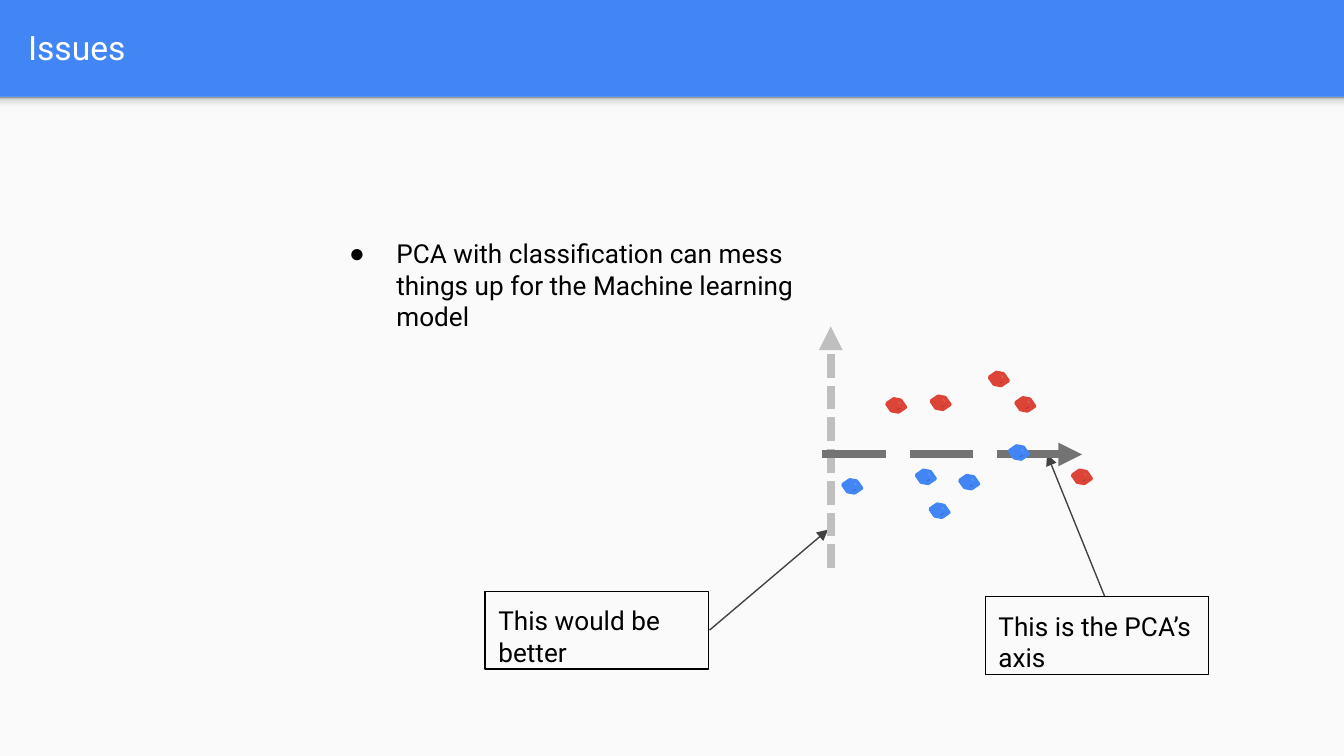
from pptx import Presentation
from pptx.dml.color import RGBColor
from pptx.enum.dml import MSO_LINE
from pptx.enum.shapes import MSO_CONNECTOR, MSO_SHAPE
from pptx.enum.text import MSO_ANCHOR, MSO_AUTO_SIZE, PP_ALIGN
from pptx.oxml import parse_xml
from pptx.oxml.ns import nsdecls
from pptx.util import Cm, Pt

RECT, CUBE = MSO_SHAPE.RECTANGLE, MSO_SHAPE.CUBE
STRAIGHT = MSO_CONNECTOR.STRAIGHT
SHORT, LONG = MSO_LINE.SQUARE_DOT, MSO_LINE.LONG_DASH
TOP, MIDDLE = MSO_ANCHOR.TOP, MSO_ANCHOR.MIDDLE
LEFT, FIXED = PP_ALIGN.LEFT, MSO_AUTO_SIZE.NONE

FONT = "Roboto"
INSET = Cm(0.25)
WIDTH, HEIGHT, HEAD = 25.4, 14.29, 1.83
COLORS = {
    "blue": "4285F4", "red": "DB4437", "pale": "FAFAFA", "white": "FFFFFF",
    "black": "000000", "dark": "424242", "gray": "737373", "light": "BFBFBF",
}
FADE = [(0, "F9F9F9"), (36, "F9F9F9"), (80, "DEDEDE"), (100, "999999")]
DOTS = {
    "red": [(18.75, 7.04), (20.32, 8.89), (19.25, 7.52), (17.65, 7.49), (16.81, 7.54)],
    "blue": [(15.98, 9.07), (17.63, 9.53), (18.19, 8.99), (17.37, 8.89), (19.13, 8.43)],
}


def rgb(name):
    """Return the named colour."""
    return RGBColor.from_string(COLORS[name])


def add_xml(parent, xml):
    """Append a drawing element to its parent."""
    tag, rest = xml.split(" ", 1)
    parent.append(parse_xml(f"<a:{tag} {nsdecls('a')} {rest}"))


def set_text(shape, text, size=14, color="black", anchor=TOP):
    """Write one left-aligned paragraph and return it."""
    frame = shape.text_frame
    frame.word_wrap, frame.auto_size = True, FIXED
    frame.vertical_anchor = anchor
    frame.margin_left = frame.margin_right = INSET
    frame.margin_top = frame.margin_bottom = INSET
    para = frame.paragraphs[0]
    para.alignment, para.space_before = LEFT, Pt(0)
    run = para.add_run()
    run.text = text
    run.font.name, run.font.size = FONT, Pt(size)
    run.font.color.rgb = rgb(color)
    return para


def place(shape, *box):
    """Move and size a shape in centimetres."""
    shape.left, shape.top, shape.width, shape.height = map(Cm, box)


def add_box(slide, kind, box, fill=None, line=None, weight=0.75):
    """Add a flat preset shape."""
    shape = slide.shapes.add_shape(kind, *map(Cm, box))
    shape.shadow.inherit = False
    if fill:
        shape.fill.solid()
        shape.fill.fore_color.rgb = rgb(fill)
    else:
        shape.fill.background()
    if line:
        shape.line.color.rgb = rgb(line)
        shape.line.width = Pt(weight)
    else:
        shape.line.fill.background()
    return shape


def add_arrow(slide, start, end, color="dark", weight=0.75, dash=None):
    """Add a straight arrow with its head at the end."""
    arrow = slide.shapes.add_connector(STRAIGHT, *map(Cm, start + end))
    arrow.line.color.rgb = rgb(color)
    arrow.line.width = Pt(weight)
    if dash:
        arrow.line.dash_style = dash
    add_xml(arrow.line._get_or_add_ln(), 'tailEnd type="triangle"/>')
    add_xml(arrow._element.spPr, "effectLst />")


def add_panel(slide):
    """Lay the pale page and the fading header shadow behind the text."""
    page = add_box(slide, RECT, (0, HEAD, WIDTH, HEIGHT - HEAD), "pale")
    shade = add_box(slide, RECT, (0, HEAD, WIDTH, 0.3))
    stops = "".join(
        f'<a:gs pos="{pos * 1000}"><a:srgbClr val="{color}"/></a:gs>' for pos, color in FADE
    )
    props = shade._element.spPr
    props.replace(props.find("{*}noFill"), parse_xml(
        f'<a:gradFill {nsdecls("a")}><a:gsLst>{stops}</a:gsLst>'
        '<a:lin ang="16200000" scaled="0"/></a:gradFill>'
    ))
    for spot, shape in enumerate((page, shade), 2):
        slide.shapes._spTree.insert(spot, shape._element)


def add_list(body, text):
    """Fill the body with one bullet."""
    props = set_text(body, text)._p.get_or_add_pPr()
    props.set("marL", str(Cm(1.27)))
    props.set("indent", str(-Cm(0.89)))
    add_xml(props, f'buClr ><a:srgbClr val="{COLORS["black"]}"/></a:buClr>')
    add_xml(props, 'buChar char="●"/>')


def add_note(slide, text, left, top):
    """Add an outlined note."""
    note = add_box(slide, RECT, (left, top, 4.22, 1.47), line="black")
    set_text(note, text)


def add_dot(slide, left, top, color):
    """Add one data point."""
    dot = add_box(slide, CUBE, (left, top, 0.25, 0.25), color, color, 2)
    dot.rotation = 55.5
    dot.adjustments[0] = 0.37


def main():
    """Build the slide and save it."""
    deck = Presentation()
    deck.slide_width, deck.slide_height = Cm(WIDTH), Cm(HEIGHT)
    slide = deck.slides.add_slide(deck.slide_layouts[1])
    back = slide.background.fill
    back.solid()
    back.fore_color.rgb = rgb("blue")
    title, body = slide.placeholders
    place(title, 0.28, 0.05, 24.51, 1.68)
    set_text(title, "Issues", size=18, color="white", anchor=MIDDLE)
    place(body, 5.97, 4.24, 9.96, 2.36)
    add_list(body, "PCA with classification can mess things up for the Machine learning model")
    add_panel(slide)
    add_arrow(slide, (20.88, 11.28), (19.79, 8.59))
    add_note(slide, "This is the PCA’s axis", 18.62, 11.28)
    add_note(slide, "This would be better", 9.17, 11.18)
    add_arrow(slide, (13.41, 11.91), (15.65, 10.01))
    add_arrow(slide, (15.7, 10.74), (15.7, 6.17), "light", 4.25, SHORT)
    add_arrow(slide, (15.54, 8.59), (20.45, 8.59), "gray", 4.25, LONG)
    for color, spots in DOTS.items():
        for left, top in spots:
            add_dot(slide, left, top, color)
    deck.save("out.pptx")


if __name__ == "__main__":
    main()
